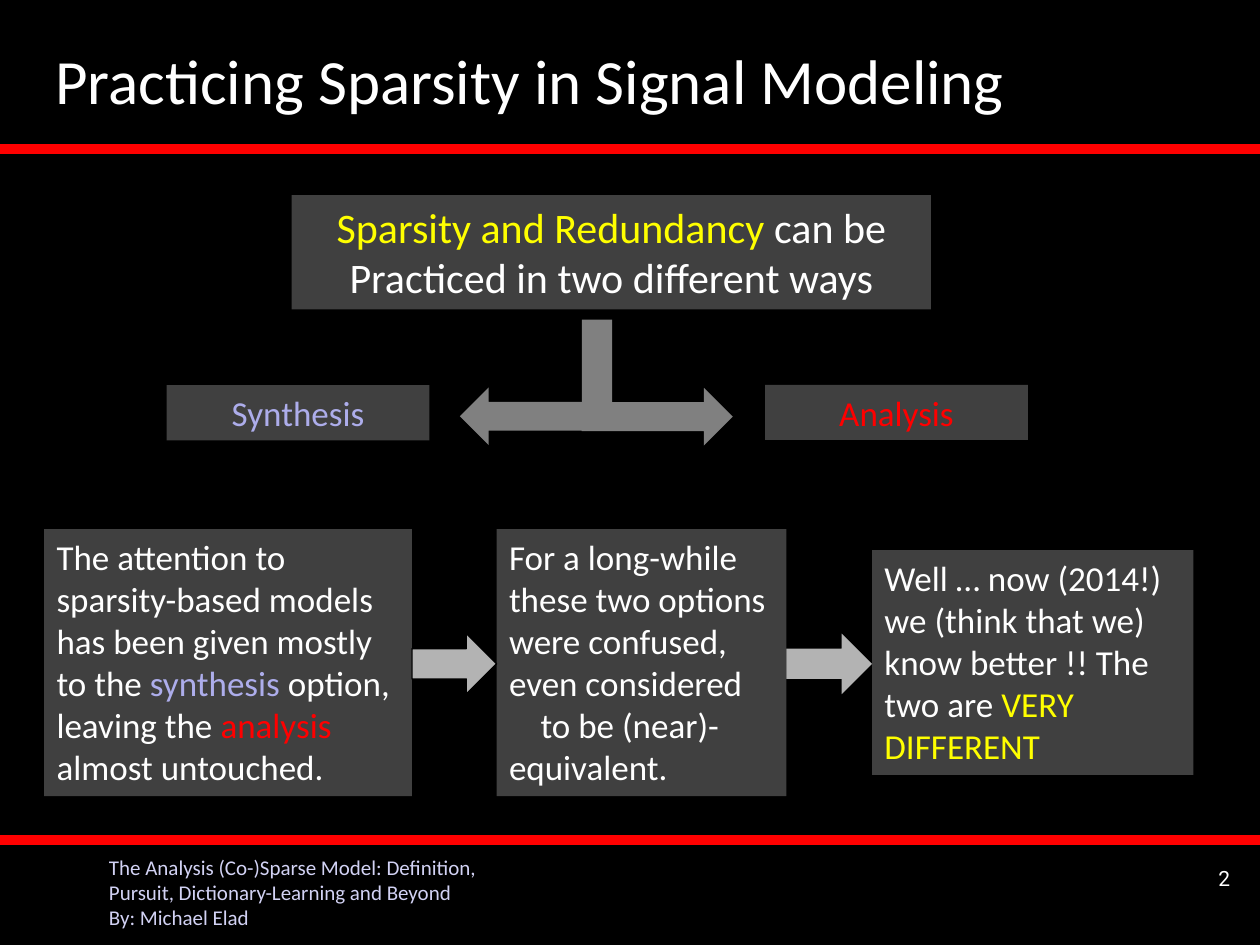
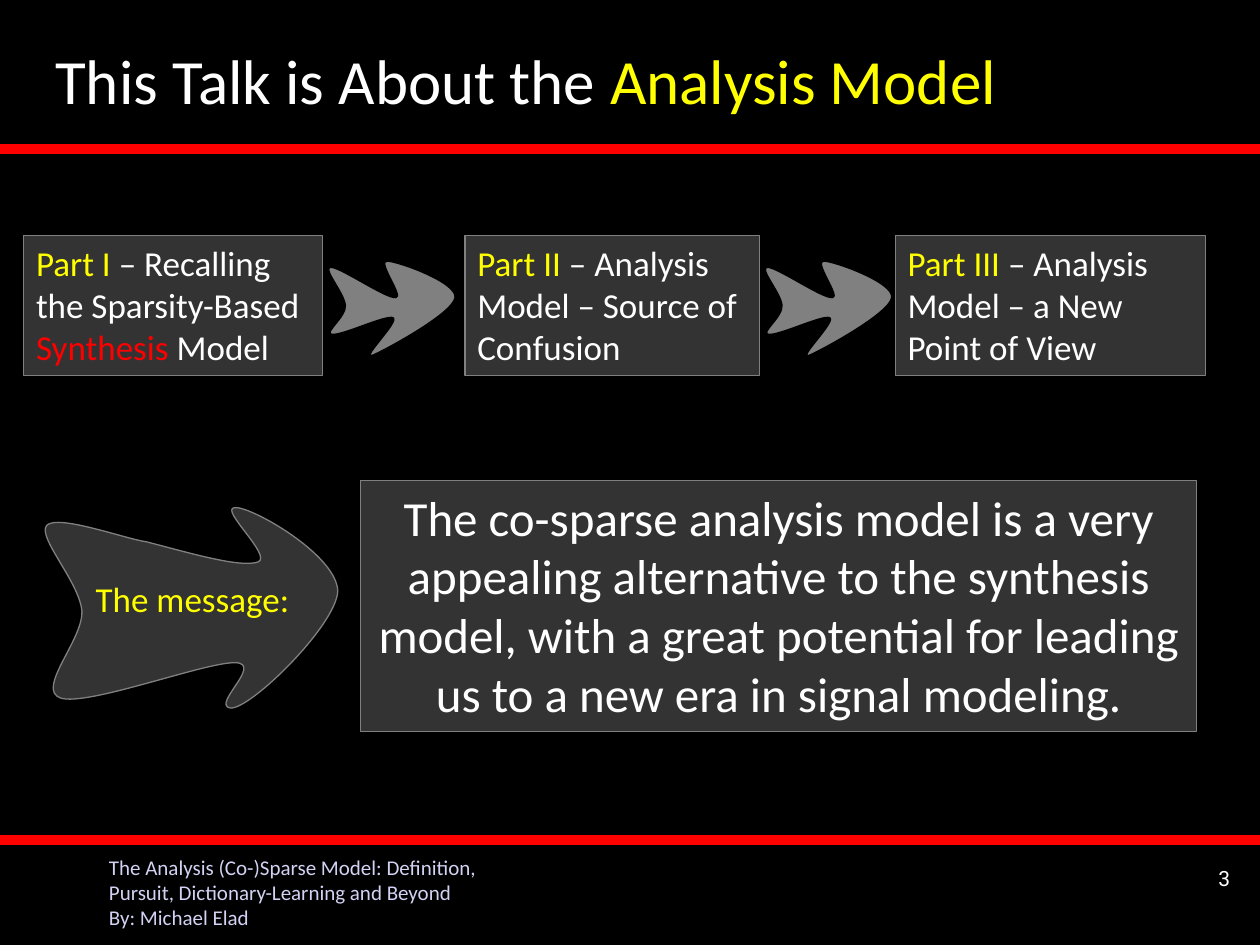
from pptx import Presentation
from pptx.dml.color import RGBColor
from pptx.enum import shapes, text
from pptx.oxml import ns
from pptx.util import Pt

BLACK = RGBColor(0x00, 0x00, 0x00)
WHITE = RGBColor(0xFF, 0xFF, 0xFF)
RED = RGBColor(0xFF, 0x00, 0x00)
YELLOW = RGBColor(0xFF, 0xFF, 0x00)
LILAC = RGBColor(0xAD, 0xAD, 0xEB)
PALE = RGBColor(0xD2, 0xD2, 0xF4)
SLATE = RGBColor(0x40, 0x40, 0x40)
COAL = RGBColor(0x33, 0x33, 0x33)
GREY = RGBColor(0x80, 0x80, 0x80)
SILVER = RGBColor(0xB3, 0xB3, 0xB3)

FORM = shapes.MSO_SHAPE
LEFT, MID, RIGHT = text.PP_ALIGN.LEFT, text.PP_ALIGN.CENTER, text.PP_ALIGN.RIGHT
WIDE, HIGH = 720, 540

# Content: a text is a list of paragraphs, a paragraph a list of (words, colour)
FOOTER = [[("The Analysis (Co-)Sparse Model: Definition,\n"
            "Pursuit, Dictionary-Learning and Beyond\n"
            "By: Michael Elad", PALE)]]

WAYS_TITLE = [("Practicing Sparsity in Signal Modeling", WHITE)]
TOPIC = [[("Sparsity and Redundancy ", YELLOW),
          ("can be Practiced in two different ways", WHITE)]]
WAYS = [(95.2, 220.1, "Synthesis", LILAC), (437.2, 219.9, "Analysis", RED)]
STEPS = [  # left, top, width, height, text
    (25.2, 302.4, 210.2, 152.6,
     [[("The attention to sparsity-based models has been given mostly to the ", WHITE),
       ("synthesis ", LILAC), ("option, leaving the ", WHITE),
       ("analysis", RED), (" almost untouched.", WHITE)]]),
    (283.8, 302.4, 165.6, 152.6,
     [[("For a long-while these two options were confused, even considered", WHITE)],
      [("to be (near)-equivalent.", WHITE)]]),
    (498.3, 314.4, 183.6, 128.4,
     [[("Well … now (2014!) we (think that we) know better !! The two are ", WHITE),
       ("VERY DIFFERENT", YELLOW)]]),
]
EDGES = [BLACK, None]  # outlines of the arrows between the steps

TALK_TITLE = [("This Talk is About the ", WHITE), ("Analysis Model", YELLOW)]
PARTS = [  # left, width, text
    (13.5, 170.9, [("Part I ", YELLOW), ("– Recalling the Sparsity-Based ", WHITE),
                   ("Synthesis", RED), (" Model", WHITE)]),
    (265.7, 168.2, [("Part II ", YELLOW),
                    ("– Analysis Model – Source of Confusion", WHITE)]),
    (511.5, 177.3, [("Part III ", YELLOW),
                    ("– Analysis Model – a New Point of View", WHITE)]),
]
LABEL = [[("The message:", YELLOW)]]
MESSAGE = [[("The co-sparse analysis model is a very appealing alternative to the "
             "synthesis model, with a great potential for leading us to a new era "
             "in signal modeling.", WHITE)]]

# Curved outlines: a start, then two handles and an end for each curve
FISH = [(4.3, 3.6),
        (9.4, 2.9), (36, 21.6), (41.8, 20.9),
        (46.8, 20.9), (31, 0), (36.7, 0),
        (42.5, 0), (77, 12.2), (75.6, 20.9),
        (74.2, 30.2), (33.8, 51.8), (28.1, 54),
        (22.3, 55.4), (43.9, 34.6), (40.3, 32.4),
        (36.7, 30.2), (10.1, 43.2), (5, 41.8),
        (0.7, 41), (13.7, 31.7), (13, 25.2),
        (12.2, 18), (0, 4.3), (4.3, 3.6)]
FLAG = [(63.4, 20.9),
        (88.6, 27.4), (117.4, 36), (127.4, 32.4),
        (135.4, 28.8), (105.1, 2.2), (113.8, 1.4),
        (122.4, 0), (172.1, 28.1), (172.8, 49),
        (172.1, 68.4), (123.1, 116.6), (111.6, 115.9),
        (100.1, 114.5), (130.3, 90.7), (114.5, 90),
        (97.9, 89.3), (29.5, 115.2), (14.4, 110.2),
        (0, 105.1), (27.4, 77), (26.6, 60.5),
        (25.2, 43.9), (0.7, 18), (6.5, 11.5),
        (13, 5), (51.8, 19.4), (63.4, 20.9)]


def paint(shape, fill, edge=None):
    shape.shadow.inherit = False
    shape.fill.solid()
    shape.fill.fore_color.rgb = fill
    if edge is None:
        shape.line.fill.background()
    else:
        shape.line.color.rgb = edge
        shape.line.width = Pt(0.75)


def write(shape, paras, size, align=LEFT, font="Calibri"):
    frame = shape.text_frame
    frame.word_wrap = True
    frame.vertical_anchor = text.MSO_ANCHOR.TOP
    for i, runs in enumerate(paras):
        para = frame.add_paragraph() if i else frame.paragraphs[0]
        para.alignment = align
        for words, tint in runs:
            for n, row in enumerate(words.split("\n")):
                if n:
                    para.add_line_break()
                run = para.add_run()
                run.text = row
                run.font.size = Pt(size)
                run.font.name = font
                run.font.color.rgb = tint
    return frame


def block(slide, box, fill, edge=None, form=FORM.RECTANGLE):
    shape = slide.shapes.add_shape(form, *map(Pt, box))
    paint(shape, fill, edge)
    return shape


def label(slide, box, paras, size, align=LEFT, font="Calibri"):
    shape = slide.shapes.add_textbox(*map(Pt, box))
    write(shape, paras, size, align, font)
    return shape


def rule(slide, y):
    line = slide.shapes.add_connector(shapes.MSO_CONNECTOR.STRAIGHT,
                                      0, Pt(y), Pt(WIDE), Pt(y))
    line.line.color.rgb = RED
    line.line.width = Pt(6)
    props = line._element.spPr
    props.append(props.makeelement(ns.qn("a:effectLst"), {}))
    return line


def curve(slide, left, top, dots, fill, edge):
    """Draw a closed outline, then turn each straight part into a cubic curve."""
    dots = [(Pt(left + x), Pt(top + y)) for x, y in dots]
    ends = dots[::3]
    pen = slide.shapes.build_freeform(*ends[0])
    pen.add_line_segments(ends[1:], close=True)
    shape = pen.convert_to_shape()
    paint(shape, fill, edge)
    x0, y0 = (min(side) for side in zip(*ends))
    for i, part in enumerate(list(shape.element.iter(ns.qn("a:lnTo")))):
        bend = part.makeelement(ns.qn("a:cubicBezTo"), {})
        for x, y in dots[3 * i + 1:3 * i + 4]:
            bend.append(part.makeelement(
                ns.qn("a:pt"), {"x": str(x - x0), "y": str(y - y0)}))
        part.getparent().replace(part, bend)


def share(slide, layout):
    """Give the layout the background, lower rule and footer of all slides."""
    layout.background.fill.solid()
    layout.background.fill.fore_color.rgb = BLACK
    for holder in list(layout.placeholders):
        holder.element.getparent().remove(holder.element)
    for part in (rule(slide, 480), label(slide, (55.2, 484.6, 281, 54), FOOTER, 12)):
        layout.shapes.element.append(part.element)


def start(slide, title, page):
    """Add the page number, upper rule and title."""
    label(slide, (560, 491, 150, 36), [[(str(page), WHITE)]], 12, RIGHT, "Roboto")
    rule(slide, 85.2)
    frame = label(slide, (0, 11.8, 710.6, 67), [title], 36).text_frame
    frame.margin_left = Pt(31.6)
    frame.vertical_anchor = text.MSO_ANCHOR.MIDDLE


def ways(slide):
    start(slide, WAYS_TITLE, 2)

    # Topic and the two ways
    for x, y, name, tint in WAYS:
        write(block(slide, (x, y, 150.3, 31.5), SLATE), [[(name, tint)]], 20, MID)
    write(block(slide, (166.7, 111.5, 365.3, 65.3), SLATE), TOPIC, 24, MID)

    # Forked arrow
    block(slide, (332.6, 182.7, 17.3, 63.6), GREY)
    block(slide, (332.4, 221.6, 86.4, 33), GREY, form=FORM.RIGHT_ARROW)
    block(slide, (262.8, 221.4, 86.4, 33), GREY, form=FORM.LEFT_ARROW)

    # Steps, with an arrow filling each gap
    for x, y, w, h, paras in STEPS:
        frame = write(block(slide, (x, y, w, h), SLATE), paras, 20)
        for para in frame.paragraphs[1:]:
            para._p.get_or_add_pPr().set("indent", str(Pt(18)))
    for one, two, edge in zip(STEPS, STEPS[1:], EDGES):
        x = one[0] + one[2]
        block(slide, (x, 362, two[0] - x, 34.6), SILVER, edge, FORM.RIGHT_ARROW)


def talk(slide):
    start(slide, TALK_TITLE, 3)

    # Parts, with a fish-shaped arrow after all but the last
    for x, w, runs in PARTS:
        write(block(slide, (x, 134.6, w, 80), COAL, GREY), [runs], 20)
    for x, w, runs in PARTS[:-1]:
        curve(slide, x + w, 149.2, FISH, GREY, BLACK)

    # Message
    curve(slide, 20.2, 288.7, FLAG, COAL, GREY)
    write(block(slide, (206.2, 274.8, 477.4, 143.2), COAL, GREY), MESSAGE, 28, MID)
    label(slide, (33, 326.2, 154, 31.7), LABEL, 20, MID)


def main():
    deck = Presentation()
    deck.slide_width, deck.slide_height = Pt(WIDE), Pt(HIGH)
    blank = deck.slide_layouts[6]
    first, second = (deck.slides.add_slide(blank) for _ in range(2))
    share(first, blank)
    ways(first)
    talk(second)
    deck.save("out.pptx")


if __name__ == "__main__":
    main()
